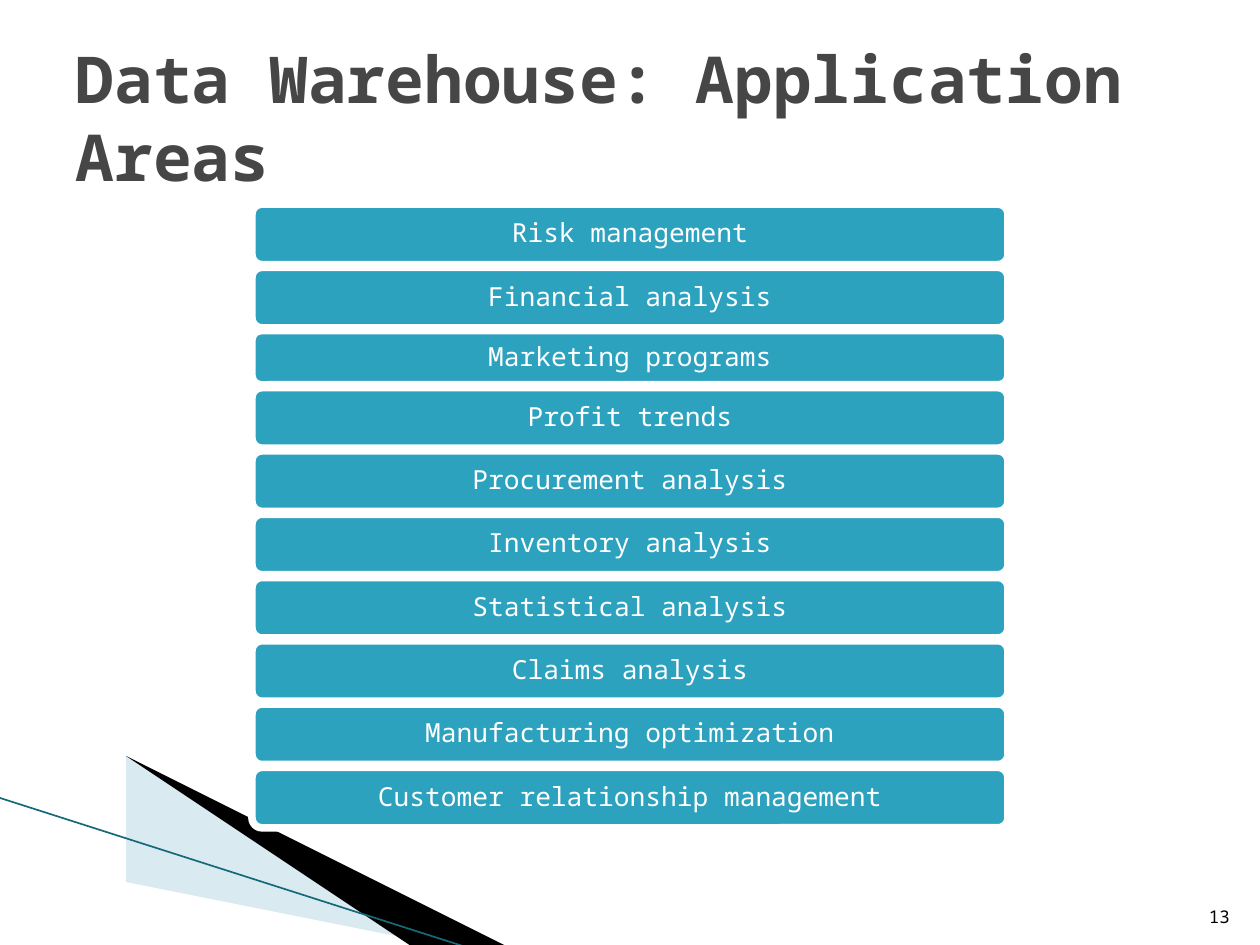
"""Build the slide on data warehouse application areas."""
from lxml.etree import SubElement
from pptx import Presentation
from pptx.dml.color import RGBColor as RGB
from pptx.enum.shapes import MSO_CONNECTOR as CONN, MSO_SHAPE as SHAPE
from pptx.enum.text import MSO_ANCHOR as ANCHOR, MSO_AUTO_SIZE as FIT, PP_ALIGN as ALIGN
from pptx.oxml.ns import qn
from pptx.util import Inches, Pt

FONT = "Noto Sans Mono"
COLORS = {"bar": "2DA2BF", "white": "FFFFFF", "title": "464646", "black": "000000",
          "pale": "A0CBDC", "edge": "16697A"}
AREAS = ["Risk management", "Financial analysis", "Marketing programs", "Profit trends",
         "Procurement analysis", "Inventory analysis", "Statistical analysis",
         "Claims analysis", "Manufacturing optimization", "Customer relationship management"]
TOP, BOTTOM, BAR_H, SHORT_H = 1.62, 6.57, 0.48, 0.43


def color(name):
    return RGB.from_string(COLORS[name])


def put_text(tf, text, size, fill, bold=False, align=ALIGN.LEFT, anchor=ANCHOR.MIDDLE,
             spacing=None, insets=(0.1, 0.05)):
    tf.word_wrap, tf.auto_size, tf.vertical_anchor = True, FIT.NONE, anchor
    tf.margin_left = tf.margin_right = Inches(insets[0])
    tf.margin_top = tf.margin_bottom = Inches(insets[1])
    p = tf.paragraphs[0]
    p.alignment, p.line_spacing = align, spacing
    r = p.add_run()
    r.text = text
    r.font.name, r.font.size, r.font.bold = FONT, Pt(size), bold
    r.font.color.rgb = color(fill)


class Deck:
    def __init__(self):
        self.prs = Presentation()
        self.prs.slide_width, self.prs.slide_height = Inches(10), Inches(7.5)
        self.s = self.prs.slides.add_slide(self.prs.slide_layouts[5])

    def title(self, text, *box):
        sp = self.s.shapes.title
        sp.left, sp.top, sp.width, sp.height = map(Inches, box)
        put_text(sp.text_frame, text, 36.9, "title", bold=True)

    def wedge(self, points, fill, alpha=None):
        fb = self.s.shapes.build_freeform(*points[0], scale=Inches(1))
        fb.add_line_segments(points[1:], close=True)
        sp = fb.convert_to_shape()
        sp.shadow.inherit = False
        sp.fill.solid()
        sp.fill.fore_color.rgb = color(fill)
        sp.line.fill.background()
        if alpha:
            clr = sp.fill._xPr.find(qn("a:solidFill"))[0]
            SubElement(clr, qn("a:alpha"), val=str(alpha * 1000))

    def line(self, x1, y1, x2, y2, stroke, width):
        cx = self.s.shapes.add_connector(CONN.STRAIGHT, *map(Inches, (x1, y1, x2, y2)))
        cx.line.color.rgb, cx.line.width = color(stroke), Pt(width)
        SubElement(cx._element.spPr, qn("a:effectLst"))

    def bar(self, text, *box):
        sp = self.s.shapes.add_shape(SHAPE.ROUNDED_RECTANGLE, *map(Inches, box))
        sp.shadow.inherit = False
        sp.fill.solid()
        sp.fill.fore_color.rgb = color("bar")
        sp.line.color.rgb, sp.line.width = color("white"), Pt(4.33)
        put_text(sp.text_frame, text, 15, "white", align=ALIGN.CENTER, spacing=0.9,
                 insets=(0.06, 0.03))

    def page_number(self, text, *box):
        sp = self.s.shapes.add_textbox(*map(Inches, box))
        put_text(sp.text_frame, text, 10, "black", align=ALIGN.RIGHT, anchor=ANCHOR.BOTTOM)


def main():
    deck = Deck()
    deck.wedge([(0.55, 6.51), (5.95, 7.51), (4.56, 7.51), (0.55, 6.5)], "pale", alpha=40)
    deck.wedge([(0.53, 6.49), (4.57, 7.51), (3.72, 7.52), (0.54, 6.5)], "black")
    deck.line(-0.01, 6.33, 3.71, 7.52, "edge", 0.95)
    heights = [SHORT_H if area == "Marketing programs" else BAR_H for area in AREAS]
    gap = (BOTTOM - TOP - sum(heights)) / (len(AREAS) - 1)
    y = TOP
    for area, h in zip(AREAS, heights):
        deck.bar(area, 2, y, 6, h)
        y += h + gap
    deck.page_number("13", 9.46, 7.01, 0.4, 0.4)
    deck.title("Data Warehouse: Application Areas", 0.5, 0.3, 9, 1.25)
    deck.prs.save("out.pptx")


if __name__ == "__main__":
    main()
